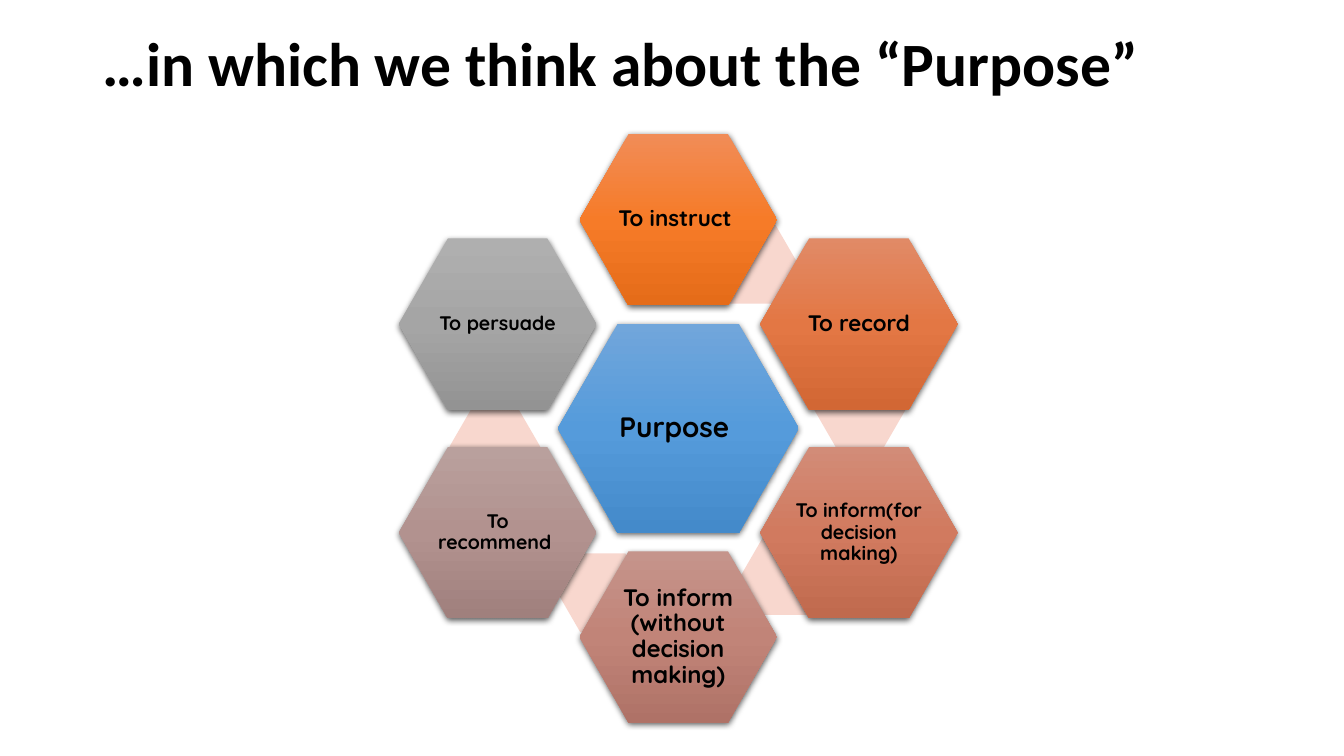
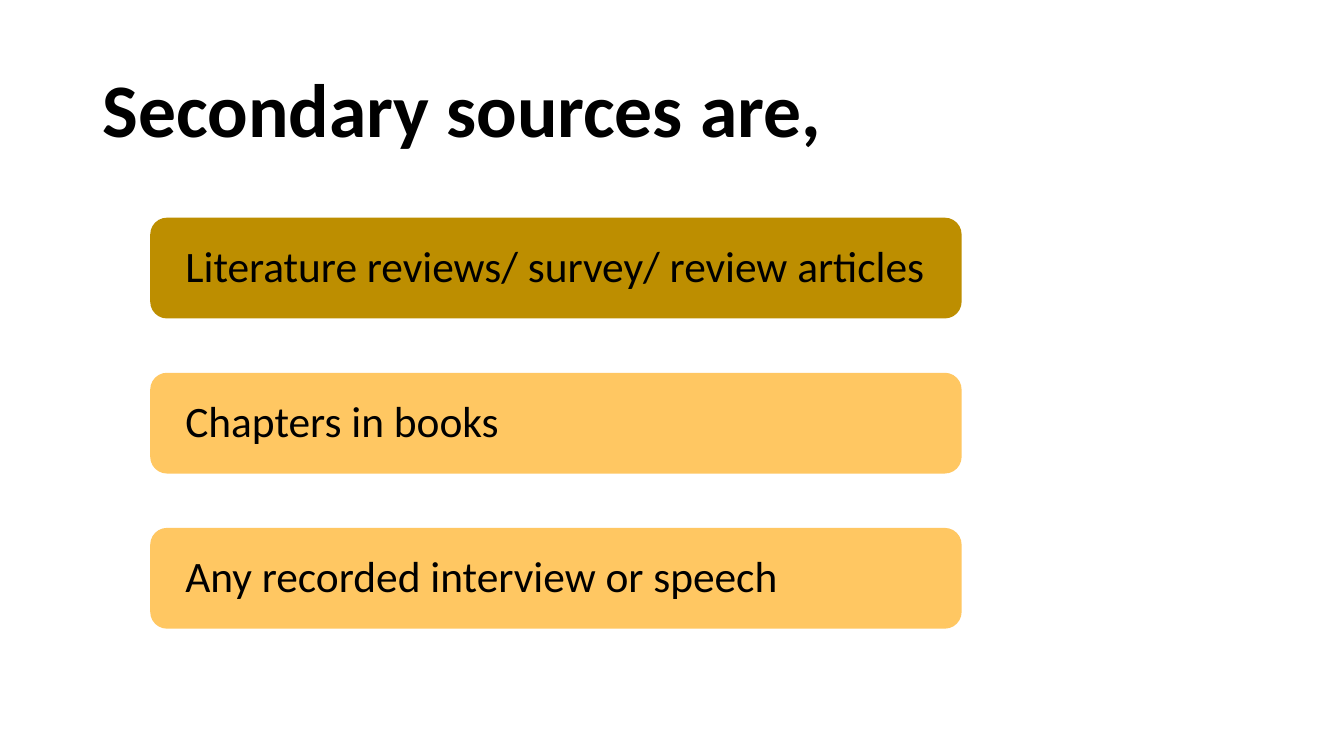
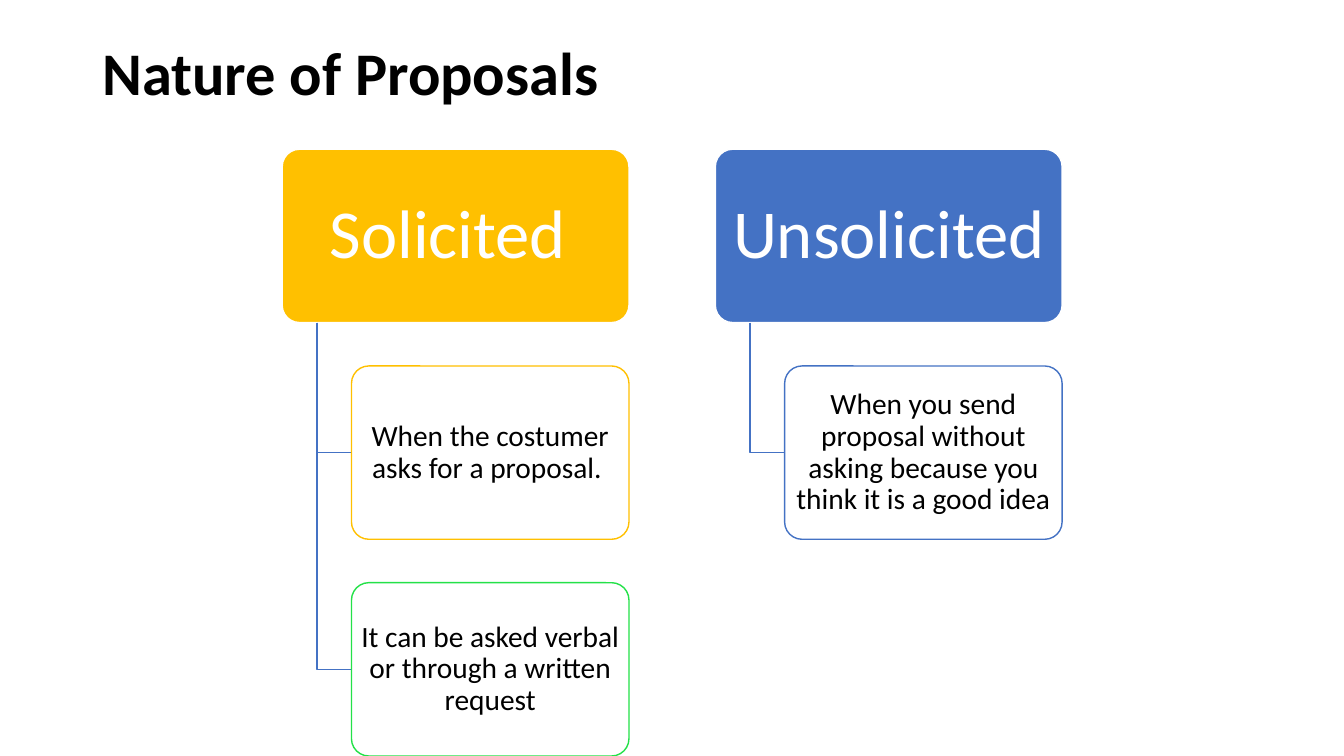
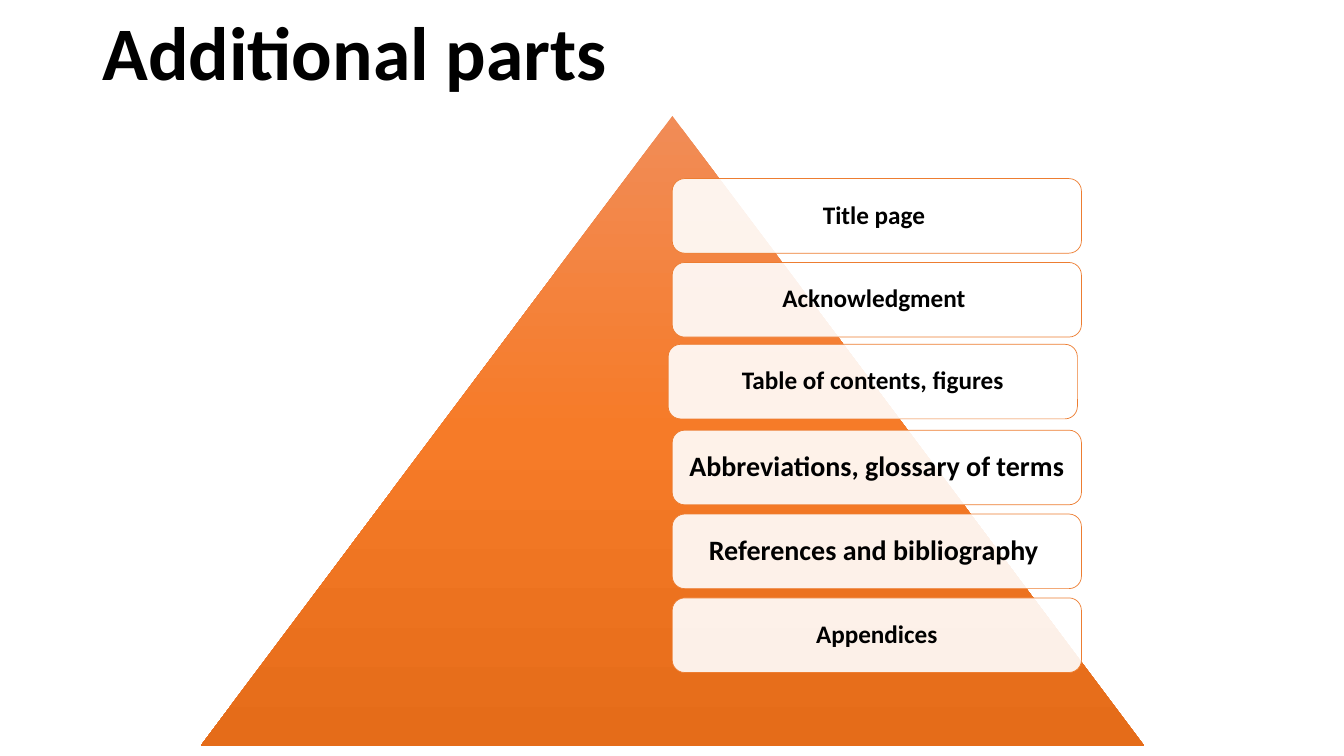
"""Build four slides on purposes, sources, proposals and report parts."""
from dataclasses import dataclass
from math import cos, radians, sin

from lxml.etree import SubElement
from pptx import Presentation
from pptx.dml.color import RGBColor
from pptx.enum.shapes import MSO_SHAPE
from pptx.enum.text import MSO_ANCHOR, MSO_AUTO_SIZE, PP_ALIGN
from pptx.oxml.ns import qn
from pptx.util import Pt


@dataclass(frozen=True)
class Theme:
    font: str = "Calibri"
    round: str = "Quicksand"
    black: str = "000000"
    white: str = "FFFFFF"
    blue: str = "4472C4"
    gold: str = "FFC000"
    green: str = "23E148"
    orange: str = "ED7D31"
    peach: str = "F8D7CE"
    ochre: str = "BD8E00"
    sand: str = "FFC762"
    sky: tuple = ("71A6DB", "559BDB", "448ACA")
    flame: tuple = ("F18C57", "F67B28", "E56C19")
    rust: tuple = ("E18A66", "E37744", "D26734")
    brick: tuple = ("D28C78", "D17A5F", "C06A4E")
    rose: tuple = ("C5948B", "C18478", "AF7267")
    mauve: tuple = ("B9A09D", "B2928F", "A0807D")
    gray: tuple = ("AFAFAF", "A5A5A5", "939393")
    title: float = 54
    head: float = 49
    pill: float = 31
    note: float = 21
    big: float = 20
    card: float = 18
    hub: float = 16
    small: float = 14


T = Theme()


def write(shape, text, size=T.card, font=T.font, color=T.black, bold=False,
          align=PP_ALIGN.CENTER, inset=(0, 0, 0, 0)):
    frame = shape.text_frame
    frame.text = text
    frame.word_wrap = True
    frame.auto_size = MSO_AUTO_SIZE.NONE
    frame.vertical_anchor = MSO_ANCHOR.MIDDLE
    left, top, right, bottom = inset
    frame.margin_left, frame.margin_right = Pt(left), Pt(right)
    frame.margin_top, frame.margin_bottom = Pt(top), Pt(bottom)
    for para in frame.paragraphs:
        para.alignment = align
        para.line_spacing = 0.9
        para.font.size = Pt(size)
        para.font.name = font
        para.font.bold = bold
        para.font.color.rgb = RGBColor.from_string(color)


def shade(shape, colors):
    shape.fill.gradient()
    shape.fill.gradient_angle = 270
    stops = shape.element.spPr.find(qn("a:gradFill")).find(qn("a:gsLst"))
    stops.clear()
    for index, color in enumerate(colors):
        stop = SubElement(stops, qn("a:gs"), pos=str(index * 50000))
        SubElement(stop, qn("a:srgbClr"), val=color)


def fade(shape, percent):
    color = shape.element.spPr.find(qn("a:solidFill"))[0]
    SubElement(color, qn("a:alpha"), val=str(percent * 1000))


def drop(shape):
    effects = shape.element.spPr.find(qn("a:effectLst"))
    cast = SubElement(effects, qn("a:outerShdw"), blurRad=str(Pt(4.5)),
                      dist=str(Pt(1.5)), dir="5400000", algn="ctr",
                      rotWithShape="0")
    color = SubElement(cast, qn("a:srgbClr"), val=T.black)
    SubElement(color, qn("a:alpha"), val="63000")


def stroke(shape, color, width):
    if color:
        shape.line.color.rgb = RGBColor.from_string(color)
        shape.line.width = Pt(width)
    else:
        shape.line.fill.background()


def block(slide, kind, box, fill, line=None, width=1, adjust=None, alpha=None):
    shape = slide.shapes.add_shape(kind, *map(Pt, box))
    shape.shadow.inherit = False
    if adjust is not None:
        shape.adjustments[0] = adjust
    if isinstance(fill, tuple):
        shade(shape, fill)
    else:
        shape.fill.solid()
        shape.fill.fore_color.rgb = RGBColor.from_string(fill)
    if alpha is not None:
        fade(shape, alpha)
    stroke(shape, line, width)
    return shape


def elbow(slide, left, top, right, bottom):
    pen = slide.shapes.build_freeform(Pt(left), Pt(top))
    pen.add_line_segments([(Pt(left), Pt(bottom)), (Pt(right), Pt(bottom))],
                          close=False)
    shape = pen.convert_to_shape()
    shape.shadow.inherit = False
    shape.fill.background()
    stroke(shape, T.blue, 1)


def start(deck, text, top, height, size=T.title):
    slide = deck.slides.add_slide(deck.slide_layouts[5])
    title = slide.shapes.title
    title.left, title.top = Pt(66), Pt(top)
    title.width, title.height = Pt(828), Pt(height)
    write(title, text, size=size, bold=True, align=PP_ALIGN.LEFT,
          inset=(7.2, 3.6, 7.2, 3.6))
    return slide


def cell(slide, x, y, wide, high, text, fill, size):
    box = (x - wide / 2, y - high / 2, wide, high)
    shape = block(slide, MSO_SHAPE.HEXAGON, box, fill, adjust=0.286)
    drop(shape)
    write(shape, text, size=size, font=T.round, bold=True, inset=(1.5,) * 4)


def purpose(deck):
    slide = start(deck, "…in which we think about the “Purpose”", 28.8, 37.4, 44)
    x, y, reach = 484.5, 306, 149
    links = [(505.4, 160.6), (581.8, 265), (529.2, 383), (398.2, 395.3),
             (321.1, 290.9)]
    for left, top in links:
        block(slide, MSO_SHAPE.HEXAGON, (left, top, 64.8, 56.2), T.peach,
              adjust=0.289)
    cell(slide, x, y, 172, 149, "Purpose ", T.sky, T.big)
    ring = [("To instruct ", T.flame, T.hub),
            ("To record", T.rust, T.hub),
            ("To inform(for decision making)", T.brick, T.small),
            ("To inform (without decision making)", T.rose, 17),
            ("To recommend ", T.mauve, T.small),
            ("To persuade", T.gray, T.small)]
    for index, (text, fill, size) in enumerate(ring):
        turn = radians(index * 60)
        cell(slide, x + reach * sin(turn), y - reach * cos(turn), 141, 122.4,
             text, fill, size)


def sources(deck):
    slide = start(deck, "Secondary sources are,", 28.8, 104.4)
    pills = [("Literature reviews/ survey/ review articles", T.ochre),
             ("Chapters in books", T.sand),
             ("Any recorded interview or speech", T.sand)]
    for index, (text, fill) in enumerate(pills):
        box = (107.3, 155.5 + index * 110.8, 579.6, 72)
        shape = block(slide, MSO_SHAPE.ROUNDED_RECTANGLE, box, fill)
        write(shape, text, size=T.pill, align=PP_ALIGN.LEFT,
              inset=(21.6, 0, 16, 0))


def nature(deck):
    slide = start(deck, "Nature of Proposals", 28.8, 50.4, 43.2)
    top, high, step = 106.6, 123.8, 154.8
    trees = [("Solicited ", T.gold,
              [("When the costumer asks for a proposal. ", T.gold),
               ("It can be asked verbal or through a written request", T.green)]),
             ("Unsolicited", T.blue,
              [("When you send proposal without asking because you think it "
                "is a good idea", T.blue)])]
    for column, (name, fill, notes) in enumerate(trees):
        left = 201.6 + column * 309.4
        head = block(slide, MSO_SHAPE.ROUNDED_RECTANGLE,
                     (left, top, 247.7, high), fill, line=T.white, adjust=0.1)
        write(head, name, size=T.head, color=T.white, inset=(7.2, 5, 7.2, 5))
        for row, (text, line) in enumerate(notes, 1):
            edge, y = left + 49.5, top + row * step
            elbow(slide, left + 24.8, top + high, edge, y + high / 2)
            note = block(slide, MSO_SHAPE.ROUNDED_RECTANGLE,
                         (edge, y, 198.2, high), T.white, line=line,
                         adjust=0.1, alpha=90)
            write(note, text, size=T.note, inset=(2.9, 2, 2.9, 2))


def parts(deck):
    slide = start(deck, "Additional parts", 20, 40)
    block(slide, MSO_SHAPE.ISOSCELES_TRIANGLE, (143.3, 82.8, 674, 450), T.flame)
    cards = [("Title page ", T.card, 0),
             ("Acknowledgment ", T.card, 0),
             ("Table of contents, figures", T.card, -2.9),
             ("Abbreviations, glossary of terms", T.big, 0),
             ("References and bibliography ", T.big, 0),
             (" Appendices ", T.card, 0)]
    for index, (text, size, shift) in enumerate(cards):
        box = (480.2 + shift, 127.6 + index * 59.9 + shift / 2, 292.3, 53.3)
        shape = block(slide, MSO_SHAPE.ROUNDED_RECTANGLE, box, T.white,
                      line=T.orange, width=0.5, alpha=90)
        write(shape, text, size=size, bold=True, inset=(5,) * 4)


def main():
    deck = Presentation()
    deck.slide_width, deck.slide_height = Pt(960), Pt(540)
    for build in (purpose, sources, nature, parts):
        build(deck)
    deck.save("out.pptx")


if __name__ == "__main__":
    main()
